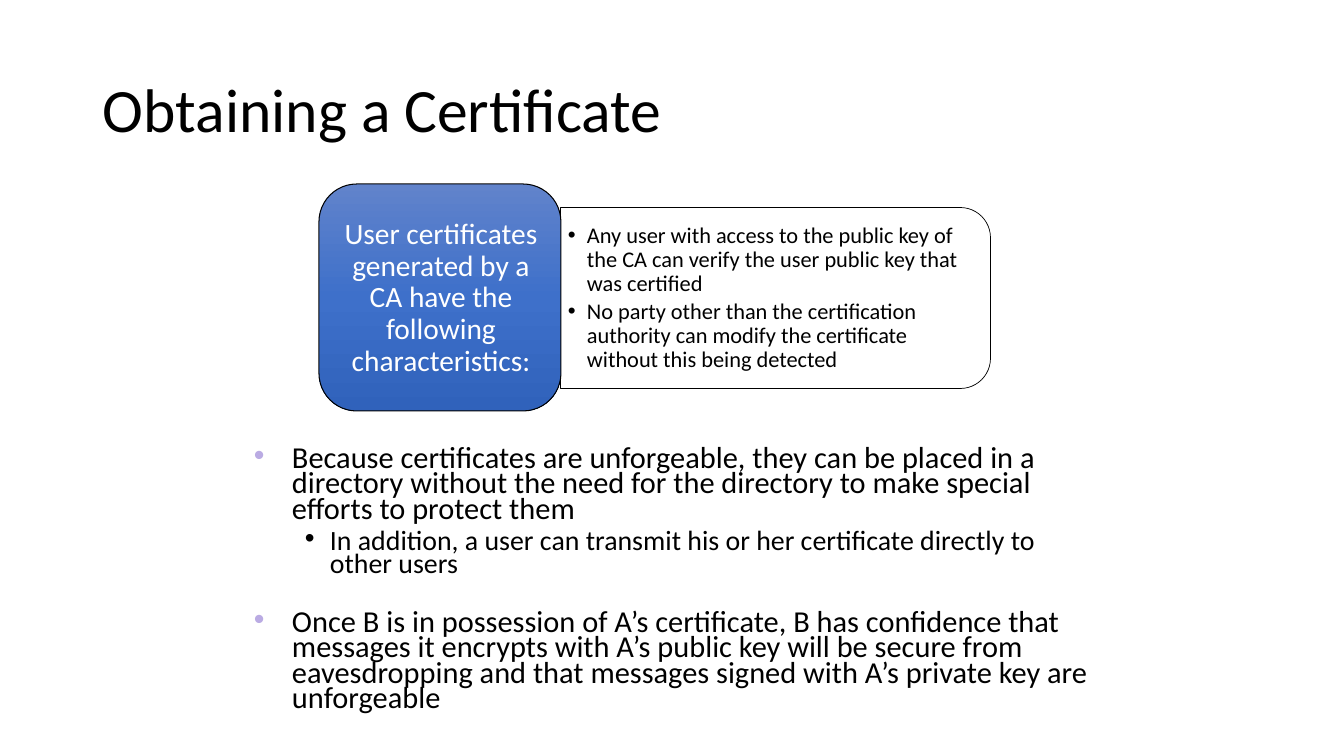
import copy
import pptx
import pptx.util
import pptx.dml.color
import pptx.enum.shapes
import pptx.enum.text
import pptx.oxml.ns
from lxml import etree

PX = 914400 / 100.8
COLORS = {"text": "000000", "white": "FFFFFF", "bullet": "BAABE3",
          "top": "6183CB", "middle": "3E70CA", "bottom": "3062BB"}
Pt = pptx.util.Pt
qn = pptx.oxml.ns.qn
ALIGN = pptx.enum.text.PP_ALIGN
MIDDLE = pptx.enum.text.MSO_ANCHOR.MIDDLE
TOP = pptx.enum.text.MSO_ANCHOR.TOP
SHAPE = pptx.enum.shapes.MSO_SHAPE


def px(*values):
    return [round(v * PX) for v in values]


def fill_text(sp, paragraphs, anchor, insets):
    tf = sp.text_frame
    tf.word_wrap = True
    tf.vertical_anchor = anchor
    tf.margin_left, tf.margin_top, tf.margin_right, tf.margin_bottom = px(*insets)
    for i, (text, size, color, bullet, formats) in enumerate(paragraphs):
        p = tf.paragraphs[0] if i == 0 else tf.add_paragraph()
        if bullet:
            margin, indent, bullet_color = bullet
            pPr = p._p.get_or_add_pPr()
            pPr.set("marL", str(px(margin)[0]))
            pPr.set("indent", str(px(-indent)[0]))
            clr = etree.SubElement(pPr, qn("a:buClr"))
            etree.SubElement(clr, qn("a:srgbClr"), val=COLORS[bullet_color])
            etree.SubElement(pPr, qn("a:buFont"), typeface="Arial")
            etree.SubElement(pPr, qn("a:buChar"), char="•")
        for name, value in formats.items():
            setattr(p, name, value)
        r = p.add_run()
        r.text = text
        r.font.name = "Calibri"
        r.font.size = Pt(size)
        r.font.color.rgb = pptx.dml.color.RGBColor.from_string(COLORS[color])


prs = pptx.Presentation()
prs.slide_width, prs.slide_height = px(1344, 756)
s = prs.slides.add_slide(prs.slide_layouts[5])

title = s.shapes.title
title.left, title.top, title.width, title.height = px(93, 40, 1159, 146)
fill_text(title, [("Obtaining a Certificate", 44, "text", None,
                   {"alignment": ALIGN.LEFT, "line_spacing": 0.9})], MIDDLE, (10, 5, 10, 5))

panel = s.shapes.add_shape(SHAPE.ROUND_2_SAME_RECTANGLE, *px(685, 83, 181, 430))
panel.rotation = 90
panel.fill.solid()
panel.fill.fore_color.rgb = pptx.dml.color.RGBColor.from_string(COLORS["white"])

card = s.shapes.add_shape(SHAPE.ROUNDED_RECTANGLE, *px(319, 184, 242, 227))
card.fill.gradient()
card.fill.gradient_angle = 270
gs_list = card._element.spPr.find(".//" + qn("a:gsLst"))
gs_list.append(copy.deepcopy(gs_list[-1]))
for stop, name, position in zip(card.fill.gradient_stops, ("top", "middle", "bottom"), (0, 0.5, 1)):
    stop.color.rgb = pptx.dml.color.RGBColor.from_string(COLORS[name])
    stop.position = position

for sp, width in ((panel, 0.5), (card, 0.75)):
    sp.shadow.inherit = False
    sp.line.color.rgb = pptx.dml.color.RGBColor.from_string(COLORS["text"])
    sp.line.width = Pt(width)

main, sub, point = (38, 38, "bullet"), (76, 25, "text"), (19, 19, "text")
point_format = {"line_spacing": 0.9, "space_after": Pt(2.4)}
boxes = [
    ((331, 196, 220, 205), MIDDLE, (9, 4, 9, 4), [
        ("User certificates generated by a CA have the following characteristics:", 21, "white", None,
         {"alignment": ALIGN.CENTER, "line_spacing": 0.9}),
    ]),
    ((561, 217, 421, 163), MIDDLE, (7, 3, 7, 3), [
        ("Any user with access to the public key of the CA can verify the user public key that "
         "was certified", 16, "text", point, point_format),
        ("No party other than the certification authority can modify the certificate without "
         "this being detected", 16, "text", point, point_format),
    ]),
    ((244, 443, 857, 288), TOP, (10, 5, 10, 5), [
        ("Because certificates are unforgeable, they can be placed in a directory without the need "
         "for the directory to make special efforts to protect them", 21.7, "text", main,
         {"line_spacing": 0.7}),
        ("In addition, a user can transmit his or her certificate directly to other users",
         19.9, "text", sub, {"line_spacing": 0.7, "space_before": Pt(5)}),
        ("Once B is in possession of A’s certificate, B has confidence that messages it encrypts "
         "with A’s public key will be secure from eavesdropping and that messages signed with A’s "
         "private key are unforgeable", 21.7, "text", main,
         {"line_spacing": 0.7, "space_before": Pt(24)}),
    ]),
]
for place, anchor, insets, paragraphs in boxes:
    fill_text(s.shapes.add_textbox(*px(*place)), paragraphs, anchor, insets)

prs.save("out.pptx")
